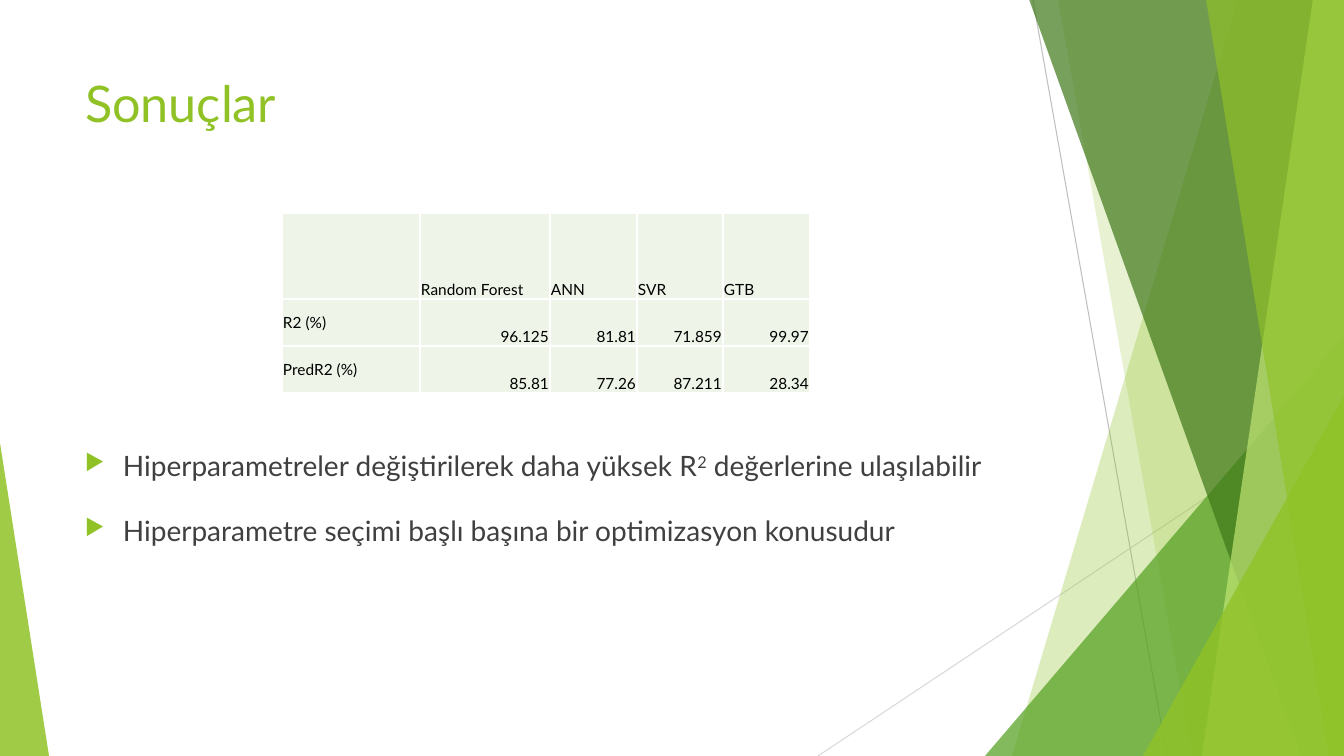
from lxml import etree
from pptx import Presentation
from pptx import util as u
from pptx.dml.color import RGBColor
from pptx.enum import shapes, text
from pptx.oxml import parse_xml
from pptx.oxml.ns import qn

PX = 914400 / 100.8
WIDE, HIGH = 1344, 756
FONT = "Lato"
GREEN, PALE, WHITE, BLACK, GRAY = "90C226", "EEF4E8", "FFFFFF", "000000", "404040"

TITLE = "Sonuçlar"
ROWS = [
    ["", "Random Forest", "ANN", "SVR", "GTB"],
    ["R2 (%)", "96.125", "81.81", "71.859", "99.97"],
    ["PredR2 (%)", "85.81", "77.26", "87.211", "28.34"],
]
COLS, TALL = [138, 130, 87, 86, 87], [86, 47, 47]
# Each point is a list of (text, superscript) runs
POINTS = [
    [("Hiperparametreler değiştirilerek daha yüksek R", False), ("2", True),
     (" değerlerine ulaşılabilir", False)],
    [("Hiperparametre seçimi başlı başına bir optimizasyon konusudur", False)],
]
# Thin lines: start, end, colour
RAYS = [((1033, 0), (1167, HIGH), "BFBFBF"), ((WIDE, 406), (818, HIGH), "D9D9D9")]
# Bands reach the right edge: top x, bottom x, colour, opacity in percent
# Peaks are triangles: box, peak position, colour, opacity in percent
DECOR = [
    ("band", (1238, 1012), GREEN, 30),
    ("band", (1058, 1192), GREEN, 20),
    ("peak", ((985, 336, 359, 420), 1), "54A021", 72),
    ("band", (1029, 1301), "3F7819", 70),
    ("band", (1313, 1202), "C0E474", 70),
    ("band", (1206, 1329), GREEN, 65),
    ("peak", ((1143, 396, 201, 360), 1), GREEN, 80),
    ("peak", ((0, 443, 49, 313), 0), GREEN, 85),
]


def emu(*nums):
    return [u.Emu(round(n * PX)) for n in nums]


def rgb(code):
    return RGBColor.from_string(code)


def put(thing, **vals):
    for key, val in vals.items():
        setattr(thing, key, val)


def style(font, size, color):
    put(font, name=FONT, size=u.Pt(size))
    font.color.rgb = rgb(color)


def paint(shape, color, alpha):
    shape.shadow.inherit = False
    shape.line.fill.background()
    shape.fill.solid()
    shape.fill.fore_color.rgb = rgb(color)
    tone = shape.fill._xPr.find(".//" + qn("a:srgbClr"))
    etree.SubElement(tone, qn("a:alpha"), val=str(alpha * 1000))


def edge(cell):
    """Give all four sides of a cell a white line."""
    props = cell._tc.get_or_add_tcPr()
    for side in "LRTB":
        props.append(parse_xml(
            f'<a:ln{side} xmlns:a="http://schemas.openxmlformats.org/drawingml/2006/main"'
            f' w="12700"><a:solidFill><a:srgbClr val="{WHITE}"/></a:solidFill></a:ln{side}>'))


def bullet(para):
    props = para._p.get_or_add_pPr()
    dent = emu(38)[0]
    props.set("marL", str(dent))
    props.set("indent", str(-dent))
    tone = etree.SubElement(props, qn("a:buClr"))
    etree.SubElement(tone, qn("a:srgbClr"), val=GREEN)
    etree.SubElement(props, qn("a:buSzPct"), val="80000")
    etree.SubElement(props, qn("a:buChar"), char="▶")


def draw_decor(tree):
    for start, end, color in RAYS:
        ray = tree.add_connector(shapes.MSO_CONNECTOR.STRAIGHT, *emu(*start, *end))
        ray.line.color.rgb = rgb(color)
        ray.line.width = u.Pt(0.75)
        etree.SubElement(ray._element.spPr, qn("a:effectLst"))
    for kind, place, color, alpha in DECOR:
        if kind == "band":
            top, low = place
            build = tree.build_freeform(top, -1, scale=PX)
            build.add_line_segments([(WIDE, -1), (WIDE, HIGH), (low, HIGH)])
            shape = build.convert_to_shape()
        else:
            box, peak = place
            shape = tree.add_shape(shapes.MSO_SHAPE.ISOSCELES_TRIANGLE, *emu(*box))
            shape.adjustments[0] = peak
        paint(shape, color, alpha)


def draw_title(title):
    left, top, width, height = emu(75, 67, 948, 146)
    put(title, left=left, top=top, width=width, height=height)
    title.text = TITLE
    put(title.text_frame, vertical_anchor=text.MSO_ANCHOR.TOP, word_wrap=True)
    para = title.text_frame.paragraphs[0]
    para.alignment = text.PP_ALIGN.LEFT
    style(para.runs[0].font, 36, GREEN)


def draw_table(tree):
    box = emu(282, 213, sum(COLS), sum(TALL))
    table = tree.add_table(len(ROWS), len(COLS), *box).table
    put(table, first_row=False, horz_banding=False)
    for col, size in zip(table.columns, emu(*COLS)):
        col.width = size
    pad = emu(1)[0]
    for r, (row, size) in enumerate(zip(ROWS, emu(*TALL))):
        table.rows[r].height = size
        for c, word in enumerate(row):
            cell = table.cell(r, c)
            label = r > 0 and c == 0
            put(cell, text=word, margin_left=pad, margin_right=pad, margin_top=pad,
                margin_bottom=0,
                vertical_anchor=text.MSO_ANCHOR.MIDDLE if label else text.MSO_ANCHOR.BOTTOM)
            edge(cell)
            cell.fill.solid()
            cell.fill.fore_color.rgb = rgb(PALE)
            para = cell.text_frame.paragraphs[0]
            para.alignment = text.PP_ALIGN.RIGHT if r and c else text.PP_ALIGN.LEFT
            for run in para.runs:
                style(run.font, 11, BLACK)


def draw_points(tree):
    frame = tree.add_textbox(*emu(75, 427, 1046, 299)).text_frame
    frame.word_wrap = True
    for i, point in enumerate(POINTS):
        para = frame.add_paragraph() if i else frame.paragraphs[0]
        put(para, line_spacing=1.5, space_before=u.Pt(10))
        bullet(para)
        for words, raised in point:
            run = para.add_run()
            run.text = words
            style(run.font, 20, GRAY)
            if raised:
                run.font._element.set("baseline", "30000")


def main():
    deck = Presentation()
    deck.slide_width, deck.slide_height = emu(WIDE, HIGH)
    slide = deck.slides.add_slide(deck.slide_layouts[5])
    draw_decor(slide.shapes)
    draw_title(slide.shapes.title)
    draw_table(slide.shapes)
    draw_points(slide.shapes)
    deck.save("out.pptx")


if __name__ == "__main__":
    main()
